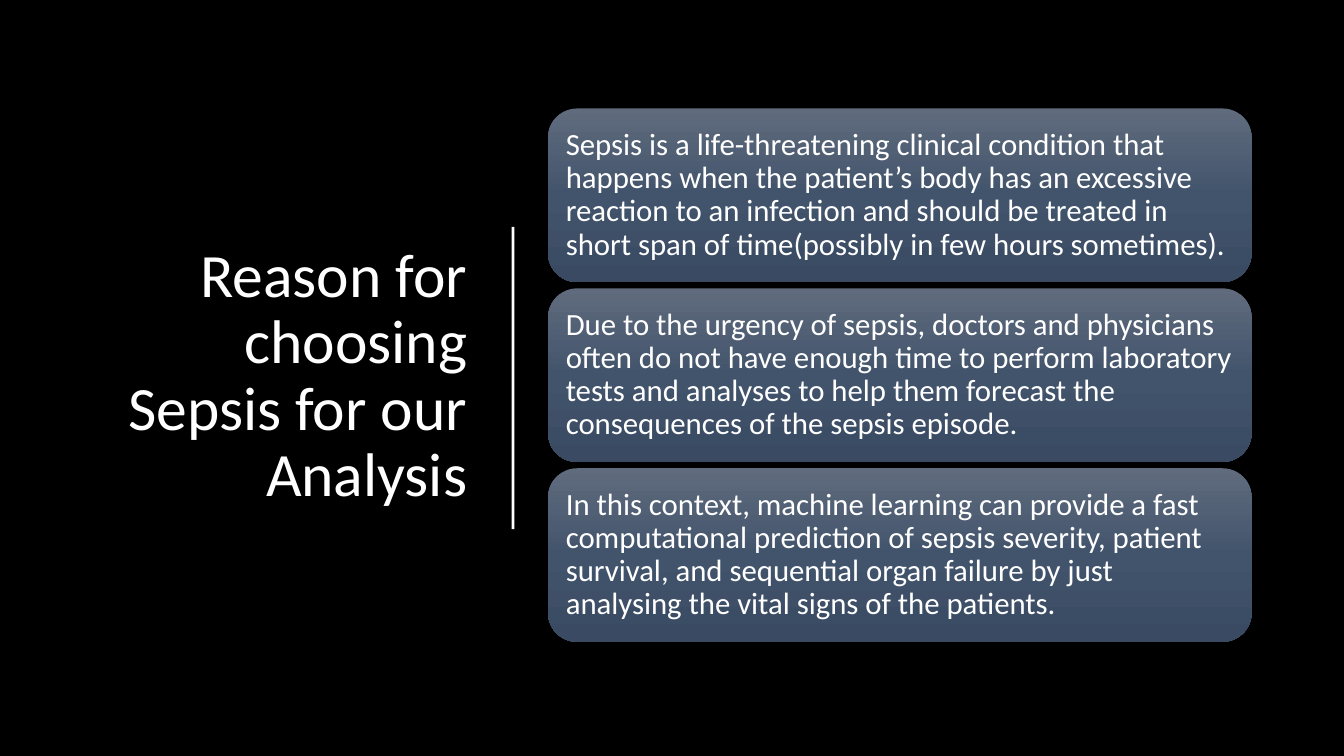
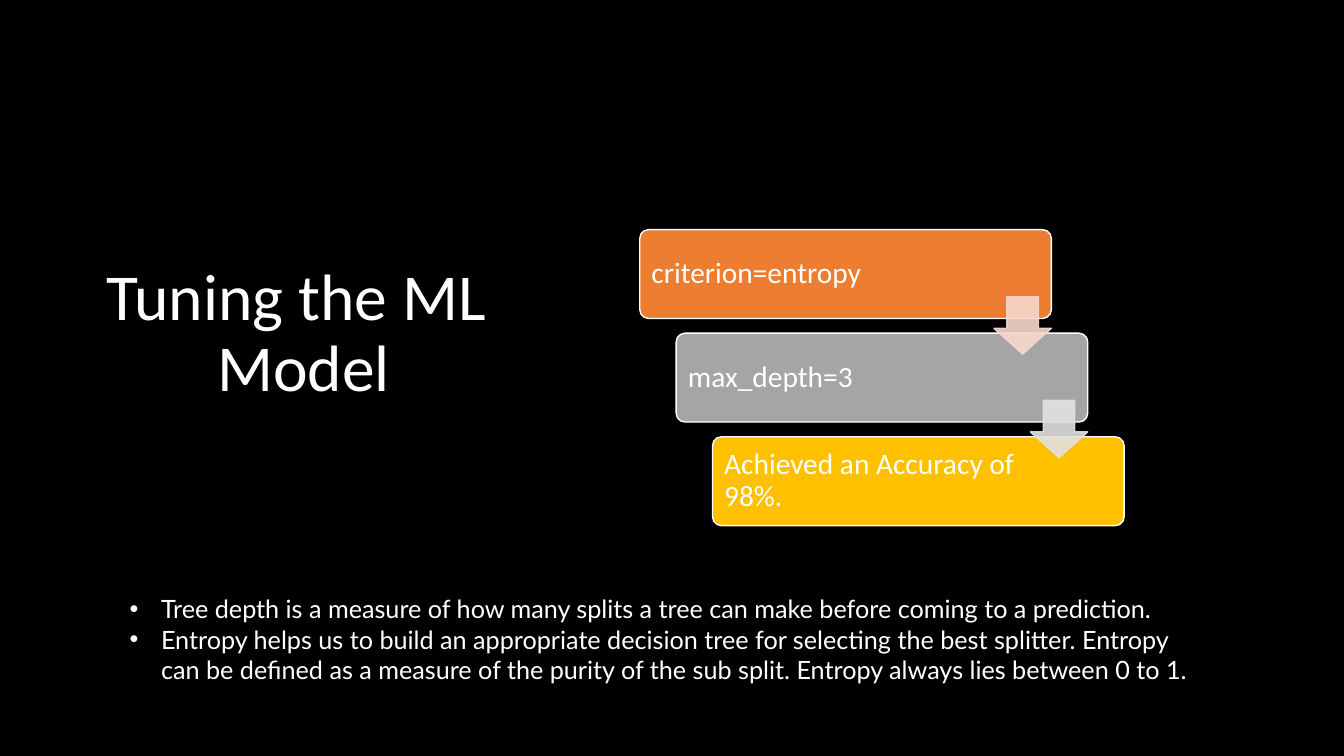
import copy

import pptx
import pptx.dml.color
import pptx.enum.shapes
import pptx.enum.text
import pptx.oxml.ns
import pptx.oxml.xmlchemy
import pptx.util
from lxml import etree

Pt = pptx.util.Pt
RGBColor = pptx.dml.color.RGBColor
SHAPE = pptx.enum.shapes.MSO_SHAPE
ALIGN = pptx.enum.text.PP_ALIGN
ANCHOR = pptx.enum.text.MSO_ANCHOR
qn = pptx.oxml.ns.qn

BLACK = RGBColor(0x00, 0x00, 0x00)
WHITE = RGBColor(0xFF, 0xFF, 0xFF)
SLATE_LIGHT = RGBColor(0x60, 0x6B, 0x7D)
SLATE = RGBColor(0x42, 0x54, 0x6C)
SLATE_DARK = RGBColor(0x39, 0x4A, 0x62)
ORANGE = RGBColor(0xED, 0x7D, 0x31)
GREY = RGBColor(0xA5, 0xA5, 0xA5)
GOLD = RGBColor(0xFF, 0xC0, 0x00)
PALE_ORANGE = RGBColor(0xF8, 0xD7, 0xCE)
PALE_GREY = RGBColor(0xE1, 0xE1, 0xE1)

FONT = "Calibri"
NOTE_FONT = "Lato"

REASONS = [
    "Sepsis is a life-threatening clinical condition that happens when the patient’s body has an "
    "excessive reaction to an infection and should be treated in short span of time(possibly in "
    "few hours sometimes).",
    "Due to the urgency of sepsis, doctors and physicians often do not have enough time to perform "
    "laboratory tests and analyses to help them forecast the consequences of the sepsis episode.",
    "In this context, machine learning can provide a fast computational prediction of sepsis "
    "severity, patient survival, and sequential organ failure by just analysing the vital signs "
    "of the patients.",
]
STEPS = [
    ("criterion=entropy", ORANGE),
    ("max_depth=3", GREY),
    ("Achieved an Accuracy of 98%.", GOLD),
]
NOTES = [
    "Tree depth is a measure of how many splits a tree can make before coming to a prediction.",
    "Entropy helps us to build an appropriate decision tree for selecting the best splitter. "
    "Entropy can be defined as a measure of the purity of the sub split. Entropy always lies "
    "between 0 to 1.",
]


def write(tf, lines, size, font=FONT, align=ALIGN.LEFT, anchor=ANCHOR.MIDDLE, spacing=0.9):
    """Fill a text frame with one white paragraph per line."""
    tf.word_wrap = True
    tf.vertical_anchor = anchor
    for i, line in enumerate(lines):
        p = tf.add_paragraph() if i else tf.paragraphs[0]
        p.text = line
        p.alignment = align
        p.line_spacing = spacing
        for r in p.runs:
            r.font.size = Pt(size)
            r.font.name = font
            r.font.color.rgb = WHITE


def add_text(slide, box, lines, size, **style):
    """Add a text box and return its text frame."""
    tf = slide.shapes.add_textbox(*map(Pt, box)).text_frame
    write(tf, lines, size, **style)
    return tf


def add_shape(slide, kind, box, color=None):
    """Add a shape without shadow or outline."""
    sp = slide.shapes.add_shape(kind, *map(Pt, box))
    sp.shadow.inherit = False
    sp.line.fill.background()
    if color is not None:
        sp.fill.solid()
        sp.fill.fore_color.rgb = color
    return sp


def add_black_slide(prs):
    """Add a blank slide with a black background."""
    slide = prs.slides.add_slide(prs.slide_layouts[6])
    slide.background.fill.solid()
    slide.background.fill.fore_color.rgb = BLACK
    return slide


def fill_slate(sp):
    """Give a shape the vertical slate gradient."""
    sp.fill.gradient()
    sp.fill.gradient_angle = 270
    stops = sp.element.spPr.find(".//" + qn("a:gsLst"))
    stops.append(copy.deepcopy(stops[-1]))
    colors = (SLATE_LIGHT, SLATE, SLATE_DARK)
    for stop, color, position in zip(sp.fill.gradient_stops, colors, (0, 0.5, 1)):
        stop.color.rgb = color
        stop.position = position


def add_panels(slide, box, texts, gap=4.5):
    """Stack equal rounded panels in a box."""
    x, y, w, h = box
    height = (h - gap * (len(texts) - 1)) / len(texts)
    for i, text in enumerate(texts):
        sp = add_shape(slide, SHAPE.ROUNDED_RECTANGLE, (x, y + i * (height + gap), w, height))
        fill_slate(sp)
        tf = sp.text_frame
        tf.margin_left = tf.margin_right = Pt(6.6)
        write(tf, [text], 22)


def add_arrow(slide, box, color):
    """Add a translucent down arrow."""
    sp = add_shape(slide, SHAPE.DOWN_ARROW, box, color)
    sp.adjustments[0] = 0.55
    sp.adjustments[1] = 0.45
    sp.line.color.rgb = color
    sp.line.width = Pt(1)
    for clr in sp.element.spPr.iter(qn("a:srgbClr")):
        etree.SubElement(clr, qn("a:alpha"), val="90000")


def add_staircase(slide, box, steps, arrow_colors):
    """Place steps down a diagonal, with arrows between them."""
    x, y, w, h = box
    width, height, arrow = 294, 63.5, 41
    dx = (w - width) / (len(steps) - 1)
    dy = (h - height) / (len(steps) - 1)
    for i, (text, color) in enumerate(steps):
        sp = add_shape(slide, SHAPE.ROUNDED_RECTANGLE, (x + i * dx, y + i * dy, width, height), color)
        sp.adjustments[0] = 0.1
        sp.line.color.rgb = WHITE
        sp.line.width = Pt(1)
        tf = sp.text_frame
        tf.margin_left = Pt(6.5)
        tf.margin_right = Pt(71)
        write(tf, [text], 21)
    for i, color in enumerate(arrow_colors):
        add_arrow(slide, (x + i * dx + width - arrow, y + i * dy + 48, arrow, arrow), color)


def add_notes(slide, box, lines):
    """Add a bulleted list."""
    tf = add_text(slide, box, lines, 18, font=NOTE_FONT, anchor=ANCHOR.TOP, spacing=1.0)
    for p in tf.paragraphs:
        pPr = p._p.get_or_add_pPr()
        pPr.set("marL", str(Pt(22.5)))
        pPr.set("indent", str(-Pt(22.5)))
        etree.SubElement(pPr, qn("a:buFont"), typeface="Arial")
        etree.SubElement(pPr, qn("a:buChar"), char="•")


def build_reasons(prs):
    """Build the slide on the choice of sepsis."""
    slide = add_black_slide(prs)
    title = "Reason for choosing Sepsis for our Analysis"
    add_text(slide, (66, 75.5, 275, 388), [title], 44, align=ALIGN.RIGHT)
    add_shape(slide, SHAPE.RECTANGLE, (365.5, 162, 2, 216), WHITE)
    add_panels(slide, (391.5, 77.5, 502.5, 381), REASONS)


def build_tuning(prs):
    """Build the slide on tuning the model."""
    slide = add_black_slide(prs)
    add_text(slide, (35.5, 188, 363, 105), ["Tuning the ML \vModel"], 46.8,
             align=ALIGN.CENTER, anchor=ANCHOR.BOTTOM)
    add_staircase(slide, (457, 164, 346, 211.5), STEPS, (PALE_ORANGE, PALE_GREY))
    add_notes(slide, (85.5, 420.5, 778, 94), NOTES)


def main():
    """Build and save the presentation."""
    prs = pptx.Presentation()
    prs.slide_width = Pt(960)
    prs.slide_height = Pt(540)
    build_reasons(prs)
    build_tuning(prs)
    prs.save("out.pptx")


if __name__ == "__main__":
    main()
